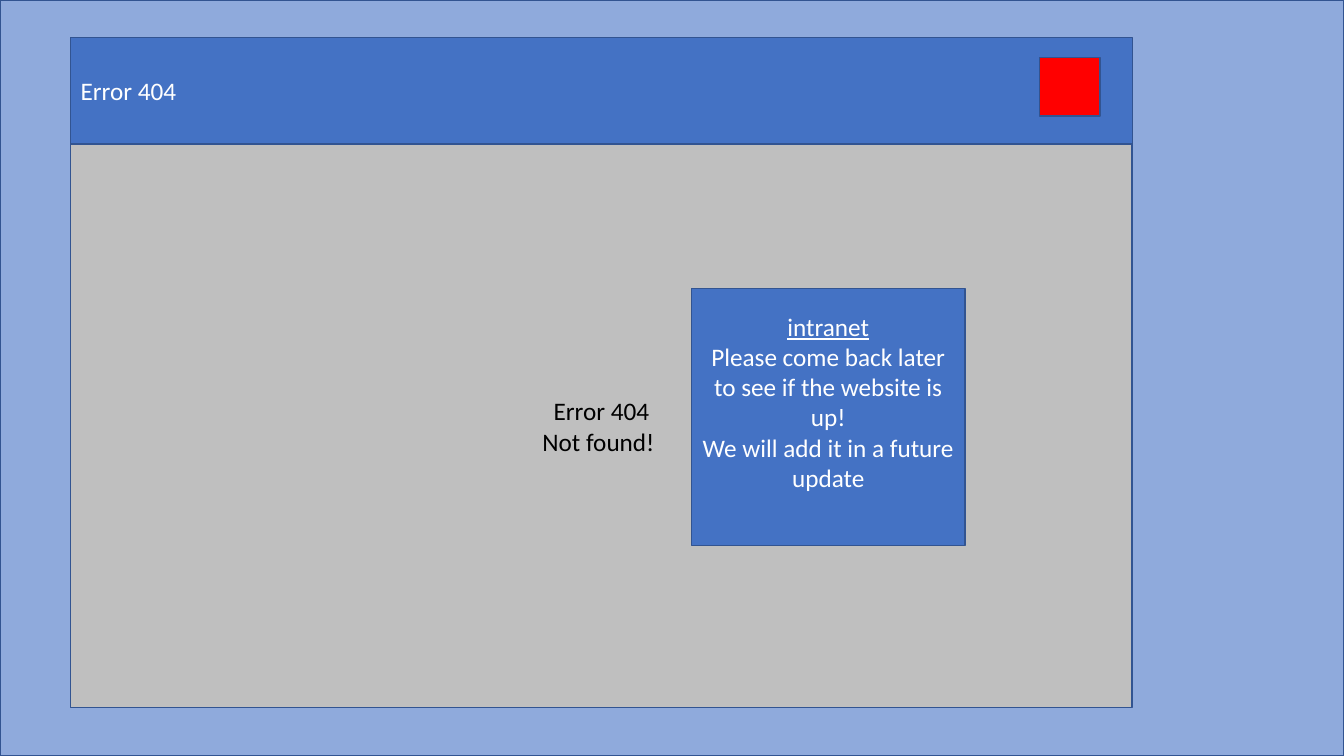
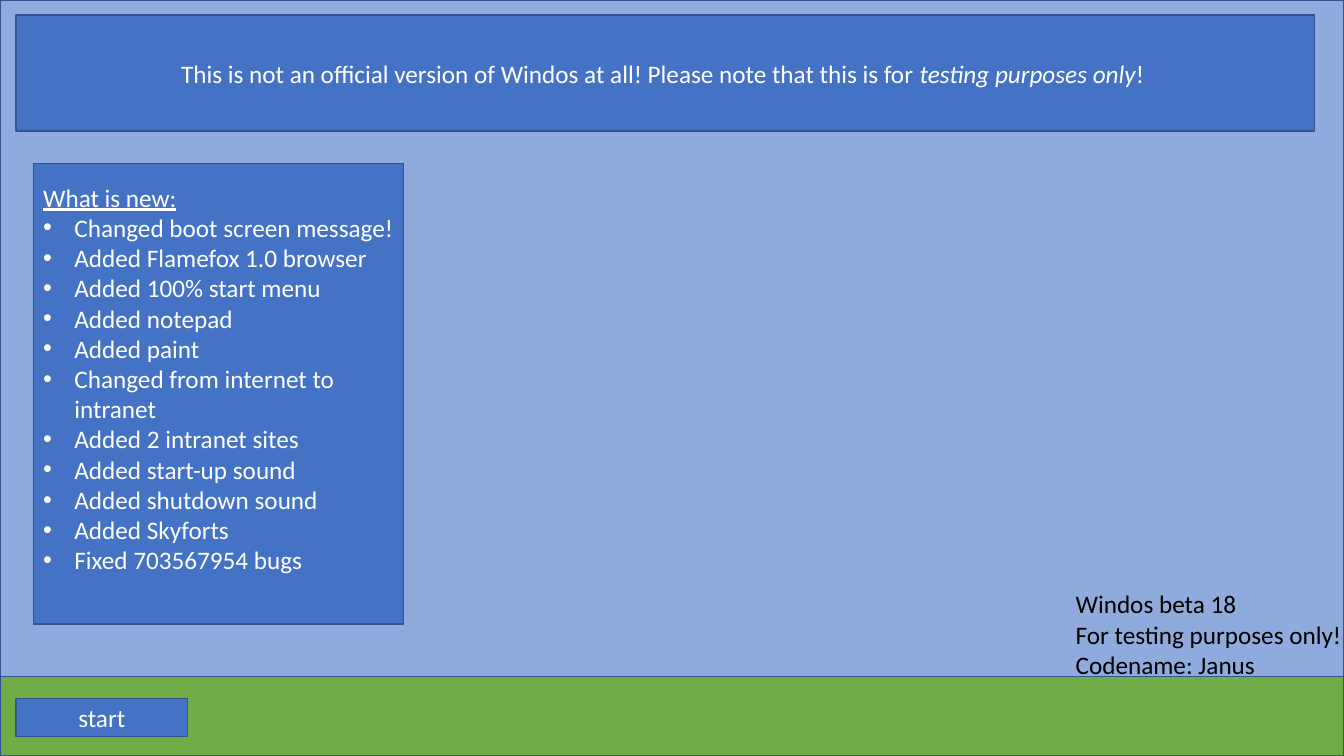
"""Build two desktop mock-up slides: an error window and a release-notes screen."""
from lxml.etree import SubElement
from pptx import Presentation
from pptx.dml.color import RGBColor
from pptx.enum.shapes import MSO_SHAPE
from pptx.enum.text import MSO_ANCHOR, MSO_AUTO_SIZE, PP_ALIGN
from pptx.oxml.ns import qn
from pptx.util import Inches, Pt

SKY = RGBColor(0x8F, 0xAA, 0xDC)
BLUE = RGBColor(0x44, 0x72, 0xC4)
OUTLINE = RGBColor(0x32, 0x54, 0x91)
GRAY = RGBColor(0xBF, 0xBF, 0xBF)
GREEN = RGBColor(0x70, 0xAD, 0x47)
RED = RGBColor(0xFF, 0x00, 0x00)
WHITE = RGBColor(0xFF, 0xFF, 0xFF)
BLACK = RGBColor(0x00, 0x00, 0x00)
FONT = "Calibri"
WIDTH, HEIGHT = 13.33, 7.5
BULLET_INDENT = Inches(0.31)


def add_box(slide, left, top, width, height, fill, is_title=False):
    """Add a filled, outlined box, or turn the title placeholder into one."""
    place = [Inches(length) for length in (left, top, width, height)]
    if is_title:
        shape = slide.shapes.title
        shape.left, shape.top, shape.width, shape.height = place
        shape.element.getparent().append(shape.element)
    else:
        shape = slide.shapes.add_shape(MSO_SHAPE.RECTANGLE, *place)
    shape.shadow.inherit = False
    shape.fill.solid()
    shape.fill.fore_color.rgb = fill
    shape.line.color.rgb = OUTLINE
    shape.line.width = Pt(1)
    return shape


def write(shape, lines, color=WHITE, align=PP_ALIGN.CENTER, anchor=MSO_ANCHOR.MIDDLE, bullets=False):
    """Write lines of (text, style) runs; with bullets, every line after the heading gets one."""
    frame = shape.text_frame
    frame.word_wrap = True
    frame.auto_size = MSO_AUTO_SIZE.NONE
    frame.vertical_anchor = anchor
    for index, runs in enumerate(lines):
        paragraph = frame.paragraphs[0] if index == 0 else frame.add_paragraph()
        paragraph.alignment = align
        if bullets and index > 0:
            properties = paragraph._p.get_or_add_pPr()
            properties.set("marL", str(BULLET_INDENT))
            properties.set("indent", str(-BULLET_INDENT))
            SubElement(properties, qn("a:buFont")).set("typeface", "Arial")
            SubElement(properties, qn("a:buChar")).set("char", "•")
        for text, style in runs:
            run = paragraph.add_run()
            run.text = text
            run.font.name = FONT
            run.font.size = Pt(18)
            run.font.color.rgb = color
            run.font.underline = style == "underline"
            run.font.italic = style == "italic"


presentation = Presentation()
presentation.slide_width = Inches(WIDTH)
presentation.slide_height = Inches(HEIGHT)
title_only = presentation.slide_layouts[5]
error_slide, news_slide = [presentation.slides.add_slide(title_only) for _ in range(2)]
for slide in (error_slide, news_slide):
    add_box(slide, 0, 0, WIDTH, HEIGHT, SKY)

window = add_box(error_slide, 0.7, 1.43, 10.53, 5.59, GRAY)
write(window, [[("Error 404", None)], [("Not found! ", None)]], color=BLACK)
title_bar = add_box(error_slide, 0.7, 0.37, 10.53, 1.06, BLUE, is_title=True)
write(title_bar, [[("Error 404", None)]], align=PP_ALIGN.LEFT)
add_box(error_slide, 10.31, 0.57, 0.6, 0.58, RED)
notice = add_box(error_slide, 6.86, 2.86, 2.71, 2.55, BLUE)
notice.text_frame.margin_bottom = Inches(0.35)
write(notice, [
    [("intranet", "underline")],
    [("Please come back later to see if the website is up!", None)],
    [("We will add it in a future update", None)],
])

add_box(news_slide, 0, 6.71, WIDTH, 0.79, GREEN)
start_button = add_box(news_slide, 0.16, 6.93, 1.7, 0.38, BLUE)
write(start_button, [[("start", None)]])
version = news_slide.shapes.add_textbox(Inches(10.57), Inches(5.79), Inches(3.17), Inches(1.01))
version_lines = ["Windos beta 18", "For testing purposes only!", "Codename: Janus"]
write(version, [[(line, None)] for line in version_lines],
      color=BLACK, align=PP_ALIGN.LEFT, anchor=MSO_ANCHOR.TOP)
banner = add_box(news_slide, 0.16, 0.15, 12.88, 1.15, BLUE, is_title=True)
write(banner, [[
    ("This is not an official version of Windos at all! Please note that this is for ", None),
    ("testing purposes only", "italic"),
    ("! ", None),
]])
changes = [
    "Changed boot screen message!",
    "Added Flamefox 1.0 browser",
    "Added 100% start menu",
    "Added notepad",
    "Added paint",
    "Changed from internet to intranet",
    "Added 2 intranet sites",
    "Added start-up sound",
    "Added shutdown sound",
    "Added Skyforts",
    "Fixed 703567954 bugs",
]
news = add_box(news_slide, 0.33, 1.62, 3.67, 4.57, BLUE)
news.text_frame.margin_bottom = Inches(0.35)
write(news, [[("What is new:", "underline")]] + [[(change, None)] for change in changes],
      align=PP_ALIGN.LEFT, bullets=True)

presentation.save("out.pptx")
